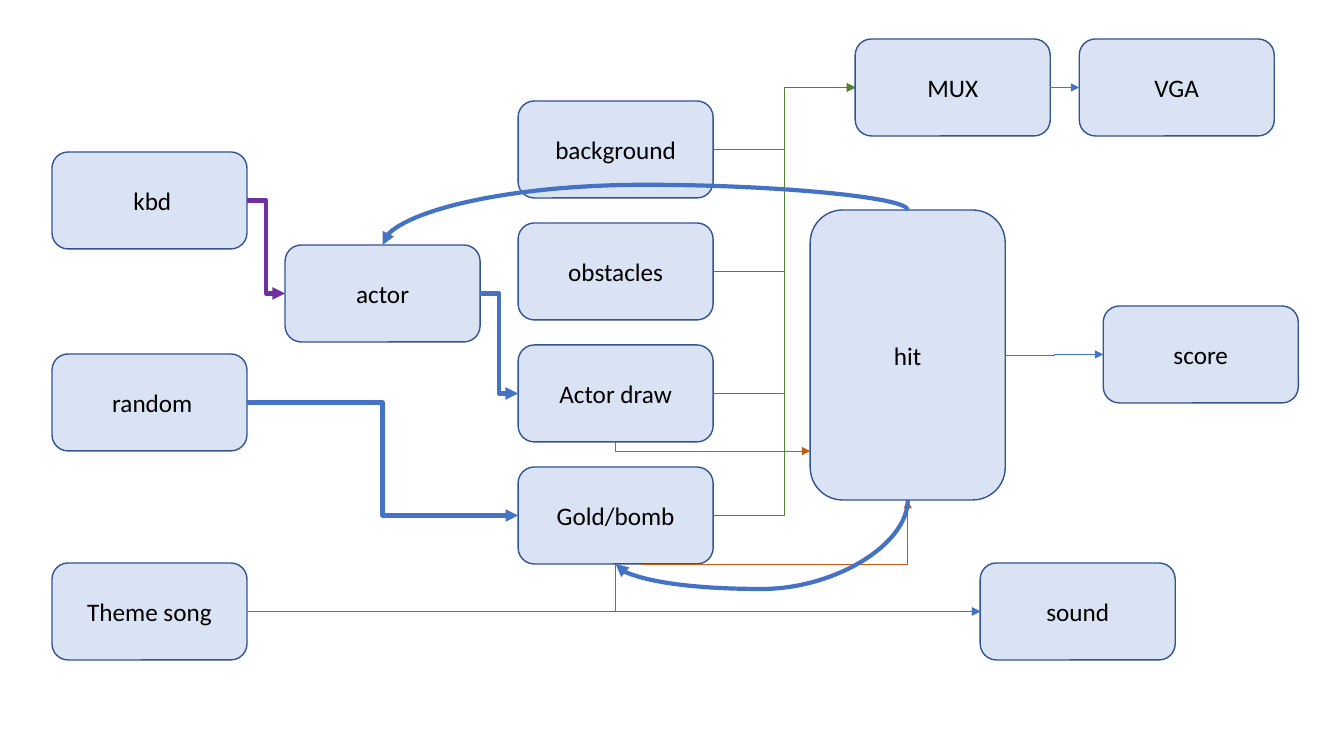
"""Build a block diagram slide of a small video game with its signal paths."""
from lxml import etree
from pptx import Presentation
from pptx.dml.color import RGBColor
from pptx.enum.shapes import MSO_CONNECTOR, MSO_SHAPE
from pptx.enum.text import MSO_ANCHOR, PP_ALIGN
from pptx.oxml.ns import qn
from pptx.util import Inches, Pt

ROUNDED = MSO_SHAPE.ROUNDED_RECTANGLE
ELBOW, CURVE = MSO_CONNECTOR.ELBOW, MSO_CONNECTOR.CURVE
CENTER, MIDDLE = PP_ALIGN.CENTER, MSO_ANCHOR.MIDDLE
TOP, LEFT, BOTTOM, RIGHT = range(4)
SCALE = 914400 / 100.8

COLORS = {"box": "DAE3F3", "border": "325491", "text": "000000", "blue": "4472C4",
          "purple": "7030A0", "green": "548235", "orange": "C55A11"}

BOX_WIDTH, BOX_HEIGHT, HIT_HEIGHT = 195, 97, 290
INPUT_X, DRAW_X, DRAW_Y, DRAW_STEP = 52, 518, 101, 122
DRAWERS = ["background", "obstacles", "Actor draw", "Gold/bomb"]
BLOCKS = {
    " kbd": (INPUT_X, 152), " random": (INPUT_X, 354), "Theme song": (INPUT_X, 563),
    "actor": (285, 245), "MUX": (855, 39), "VGA": (1079, 39),
    "hit": (810, 210), "score": (1103, 306), "sound": (980, 563),
}
BLOCKS.update({name: (DRAW_X, DRAW_Y + row * DRAW_STEP) for row, name in enumerate(DRAWERS)})

THICK, THIN = 3, 0.5
ACROSS = [
    ((" kbd", RIGHT), ("actor", LEFT), "purple", THICK),
    ((" random", RIGHT), ("Gold/bomb", LEFT), "blue", THICK),
    (("actor", RIGHT), ("Actor draw", LEFT), "blue", THICK),
    (("MUX", RIGHT), ("VGA", LEFT), "blue", THIN),
    (("Theme song", RIGHT), ("sound", LEFT), "blue", THIN),
    (("hit", RIGHT), ("score", LEFT), "blue", THIN),
] + [((name, RIGHT), ("MUX", LEFT), "green", THIN) for name in DRAWERS]
CORNERS = [
    (("Gold/bomb", BOTTOM), ("sound", LEFT), "blue", True),
    (("Actor draw", BOTTOM), (810, 451), "orange", True),
    ((641, 564), ("hit", BOTTOM), "orange", False),
]
CURVES = [
    (("hit", BOTTOM), ("Gold/bomb", BOTTOM), 1.39),
    (("hit", TOP), ("actor", TOP), -0.72),
]


def emu(pixels):
    return round(pixels * SCALE)


def color(name):
    return RGBColor.from_string(COLORS[name])


def write_text(shape, text, size=18, font="Calibri", ink="text", align=CENTER):
    shape.text_frame.vertical_anchor = MIDDLE
    paragraph = shape.text_frame.paragraphs[0]
    paragraph.alignment = align
    run = paragraph.add_run()
    run.text = text
    run.font.size, run.font.name = Pt(size), font
    run.font.color.rgb = color(ink)


def add_box(name, x, y):
    height = HIT_HEIGHT if name == "hit" else BOX_HEIGHT
    shape = slide.shapes.add_shape(ROUNDED, emu(x), emu(y), emu(BOX_WIDTH), emu(height))
    shape.shadow.inherit = False
    shape.fill.solid()
    shape.fill.fore_color.rgb = color("box")
    shape.line.color.rgb = color("border")
    shape.line.width = Pt(1)
    write_text(shape, name)
    return shape


def locate(end):
    if not isinstance(end[0], str):
        return emu(end[0]), emu(end[1])
    box, side = boxes[end[0]], end[1]
    across = {LEFT: 0, RIGHT: box.width}.get(side, box.width // 2)
    down = {TOP: 0, BOTTOM: box.height}.get(side, box.height // 2)
    return box.left + across, box.top + down


def turn(connector, start, finish):
    """Rotate the connector so that it leaves its start downwards."""
    (x1, y1), (x2, y2) = start, finish
    width, height = abs(y2 - y1), abs(x2 - x1)
    transform = connector.element.spPr.find(qn("a:xfrm"))
    transform.attrib.clear()
    if x2 > x1:
        transform.set("flipH", "1")
    connector.rotation = 270 if x2 > x1 else 90
    transform.set("rot", str(270 * 60000 if x2 > x1 else 90 * 60000))
    connector.left, connector.top = (x1 + x2 - width) // 2, (y1 + y2 - height) // 2
    connector.width, connector.height = width, height


def add_link(start, finish, ink, weight, kind=ELBOW, preset=None, vertical=False, bend=None):
    begin, end = locate(start), locate(finish)
    connector = slide.shapes.add_connector(kind, *begin, *end)
    if isinstance(start[0], str):
        connector.begin_connect(boxes[start[0]], start[1])
    if isinstance(finish[0], str):
        connector.end_connect(boxes[finish[0]], finish[1])
    if vertical:
        turn(connector, begin, end)
    connector.line.color.rgb = color(ink)
    connector.line.width = Pt(weight)
    properties = connector.element.spPr
    etree.SubElement(properties.find(qn("a:ln")), qn("a:tailEnd"), type="triangle")
    etree.SubElement(properties, qn("a:effectLst"))
    geometry = properties.find(qn("a:prstGeom"))
    if preset:
        geometry.set("prst", preset)
    if bend is not None:
        etree.SubElement(geometry.find(qn("a:avLst")), qn("a:gd"),
                         name="adj1", fmla=f"val {round(bend * 100000)}")


presentation = Presentation()
presentation.slide_width, presentation.slide_height = Inches(13.33), Inches(7.5)
slide = presentation.slides.add_slide(presentation.slide_layouts[6])
boxes = {name: add_box(name, *place) for name, place in BLOCKS.items()}
for start, finish, ink, weight in ACROSS:
    add_link(start, finish, ink, weight)
for start, finish, ink, vertical in CORNERS:
    add_link(start, finish, ink, THIN, preset="bentConnector2", vertical=vertical)
for start, finish, bend in CURVES:
    add_link(start, finish, "blue", THICK, kind=CURVE, vertical=True, bend=bend)
presentation.save("out.pptx")
